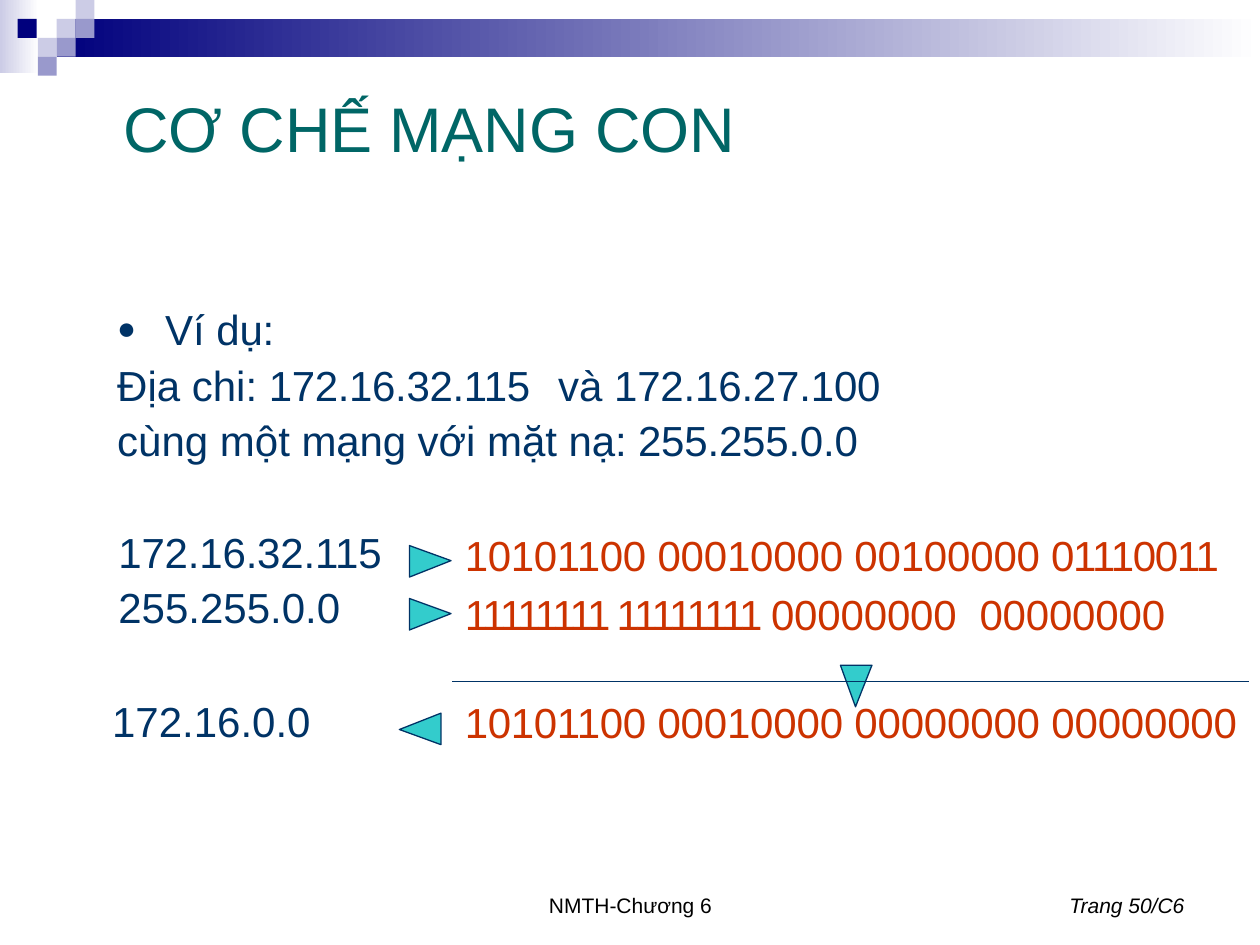
from lxml import etree
from pptx import Presentation
from pptx.dml.color import RGBColor
from pptx.enum import shapes, text
from pptx.oxml import ns
from pptx.util import Inches, Pt

NAVY, ORANGE, BLACK = "003366", "CC3300", "000000"


def paint(color_format, color):
    color_format.rgb = RGBColor.from_string(color)


def write(para, content, size=24, color=NAVY, spacing=0, italic=False):
    span = para.add_run()
    span.text = content
    span.font.name = "Arial"
    span.font.size = Pt(size)
    span.font.italic = italic
    paint(span.font.color, color)
    span._r.get_or_add_rPr().set("spc", str(round(spacing * 100)))


deck = Presentation()
deck.slide_width, deck.slide_height = Inches(10), Inches(7.5)
page = deck.slides.add_slide(deck.slide_layouts[1])

# Gradient bands, then the small squares over them
bands = [(0, 0, 0.31, 0.58, "CCCCE6"), (0.45, 0.15, 9.55, 0.3, "00007D")]
squares = [
    (0.45, 0.15, "CCCCE6"), (0.6, 0, "CCCCE6"), (0.6, 0.15, "9999CC"),
    (0.3, 0.3, "CCCCE6"), (0.14, 0.15, "00007D"), (0.45, 0.3, "9999CC"),
    (0.3, 0.45, "9999CC"),
]
for left, top, width, height, color in bands + [(x, y, 0.15, 0.15, c) for x, y, c in squares]:
    block = page.shapes.add_shape(
        shapes.MSO_SHAPE.RECTANGLE, Inches(left), Inches(top), Inches(width), Inches(height))
    block.shadow.inherit = False
    block.line.fill.background()
    if width > 0.15:
        block.fill.gradient()
        block.fill.gradient_angle = 0
        for stop, shade, position in zip(block.fill.gradient_stops, (color, "FFFFFF"), (0, 1)):
            paint(stop.color, shade)
            stop.position = position
    else:
        block.fill.solid()
        paint(block.fill.fore_color, color)

# Title and body placeholders
title, body = page.shapes.title, page.placeholders[1]
for box, place, anchor, inset in (
    (title, (0.98, 0.69, 4.93, 0.63), text.MSO_ANCHOR.MIDDLE, 0.01),
    (body, (0.92, 2.36, 6.2, 1.35), text.MSO_ANCHOR.TOP, 0.05),
):
    box.left, box.top, box.width, box.height = map(Inches, place)
    frame = box.text_frame
    frame.margin_left = frame.margin_right = frame.margin_bottom = 0
    frame.margin_top = Inches(inset)
    frame.vertical_anchor = anchor
    frame.auto_size = text.MSO_AUTO_SIZE.NONE
    frame.word_wrap = True

heading = title.text_frame.paragraphs[0]
heading.alignment = text.PP_ALIGN.LEFT
write(heading, "CƠ CHẾ MẠNG CON", size=36, color="006666", spacing=-0.1)

# Example: one bulleted line and two plain lines
lines = [
    [("Ví ", 0), ("dụ:", -0.1)],
    [("Địa chi: ", 0), ("172.16.32.115\t", -0.2), ("và ", 0), ("172.16.27.100", -0.1)],
    [("cùng một ", 0), ("mạng ", -0.1), ("với mặt ", 0), ("nạ: 255.255.0.0", -0.1)],
]
for index, line in enumerate(lines):
    para = body.text_frame.paragraphs[0] if index == 0 else body.text_frame.add_paragraph()
    para.space_before = Pt(2.9 if index else 3.9)
    for content, spacing in line:
        write(para, content, spacing=spacing)
    props = para._p.get_or_add_pPr()
    if index == 0:
        props.set("marL", str(Inches(0.39)))
        props.set("indent", str(-Inches(0.38)))
        etree.SubElement(props, ns.qn("a:buSzPct")).set("val", "75000")
        etree.SubElement(props, ns.qn("a:buFont")).set("typeface", "Arial")
        etree.SubElement(props, ns.qn("a:buChar")).set("char", "●")
    else:
        props.set("marL", str(Inches(0.01)))
        props.set("indent", "0")
        etree.SubElement(props, ns.qn("a:buNone"))
    if index == 1:
        tabs = etree.SubElement(props, ns.qn("a:tabLst"))
        etree.SubElement(tabs, ns.qn("a:tab"), pos=str(Inches(3.52)), algn="l")

# Arrow triangles: right, right, down, left
triangles = [
    [(3.25, 4.33), (3.25, 4.58), (3.58, 4.45)],
    [(3.25, 4.75), (3.25, 5), (3.58, 4.87)],
    [(6.92, 5.28), (6.67, 5.28), (6.79, 5.61)],
    [(3.5, 5.66), (3.17, 5.79), (3.5, 5.91)],
]
for corners in triangles:
    points = [(Inches(x), Inches(y)) for x, y in corners]
    builder = page.shapes.build_freeform(*points[0])
    builder.add_line_segments(points[1:], close=True)
    arrow = builder.convert_to_shape()
    arrow.shadow.inherit = False
    arrow.fill.solid()
    paint(arrow.fill.fore_color, "33CCCC")
    paint(arrow.line.color, NAVY)
    arrow.line.width = Pt(0.75)

# Table of addresses and their binary forms
# Each cell: top inset, indent, line spacing, space before, colour, runs
rows = [
    (0.46, [(0, 0.08, 26.6, 0, NAVY, [("172.16.32.115", -0.1)]),
            (0, 0.1, 28.4, 0, ORANGE, [("10101100 ", -0.2), ("00010000 00100000 ", -0.1),
                                       ("01110011", -0.8)])]),
    (0.74, [(0, 0.08, 24.9, 0, NAVY, [("255.255.0.0", 0)]),
            (0.03, 0.1, None, 2.3, ORANGE, [("11111111 11111111 ", -1.6),
                                            ("00000000  00000000", -0.1)])]),
    (0.53, [(0.12, 0.03, 28.4, 8.9, NAVY, [("172.16.0.0", 0)]),
            (0.13, 0.1, 28.1, 9.3, ORANGE, [("10101100 ", -0.2),
                                            ("00010000 00000000 00000000", -0.1)])]),
]
holder = page.shapes.add_table(3, 2, Inches(0.86), Inches(4.21), Inches(9.05), Inches(1.73))
table = holder.table
table.first_row = table.horz_banding = False
# "No Style, No Grid"
table._tbl.tblPr.find(ns.qn("a:tableStyleId")).text = "{2D5ABB26-0587-4C30-8999-92F81FD0307C}"
for column, width in zip(table.columns, (2.73, 6.32)):
    column.width = Inches(width)
for row, (height, cells) in zip(table.rows, rows):
    row.height = Inches(height)
    for cell, (inset, indent, leading, before, color, spans) in zip(row.cells, cells):
        cell.margin_left = cell.margin_right = cell.margin_bottom = 0
        cell.margin_top = Inches(inset)
        cell.fill.background()
        para = cell.text_frame.paragraphs[0]
        para.space_before = Pt(before)
        if leading:
            para.line_spacing = Pt(leading)
        para._p.get_or_add_pPr().set("marL", str(Inches(indent)))
        for content, spacing in spans:
            write(para, content, color=color, spacing=spacing)

# Rule between the mask and the result
for row_index, side in ((1, "a:lnB"), (2, "a:lnT")):
    cell_props = table.cell(row_index, 1)._tc.get_or_add_tcPr()
    border = etree.Element(ns.qn(side), w=str(Pt(0.75)))
    fill = etree.SubElement(border, ns.qn("a:solidFill"))
    etree.SubElement(fill, ns.qn("a:srgbClr"), val=NAVY)
    cell_props.insert(0, border)

# Footer and page number
for content, left, width, align, italic in (
    ("NMTH-Chương 6", 3.42, 3.17, text.PP_ALIGN.CENTER, False),
    ("Trang 50/C6", 7.17, 2.33, text.PP_ALIGN.RIGHT, True),
):
    box = page.shapes.add_textbox(Inches(left), Inches(6.83), Inches(width), Inches(0.5))
    box.text_frame.word_wrap = True
    box.text_frame.vertical_anchor = text.MSO_ANCHOR.BOTTOM
    para = box.text_frame.paragraphs[0]
    para.alignment = align
    write(para, content, size=12, color=BLACK, italic=italic)

deck.save("out.pptx")
